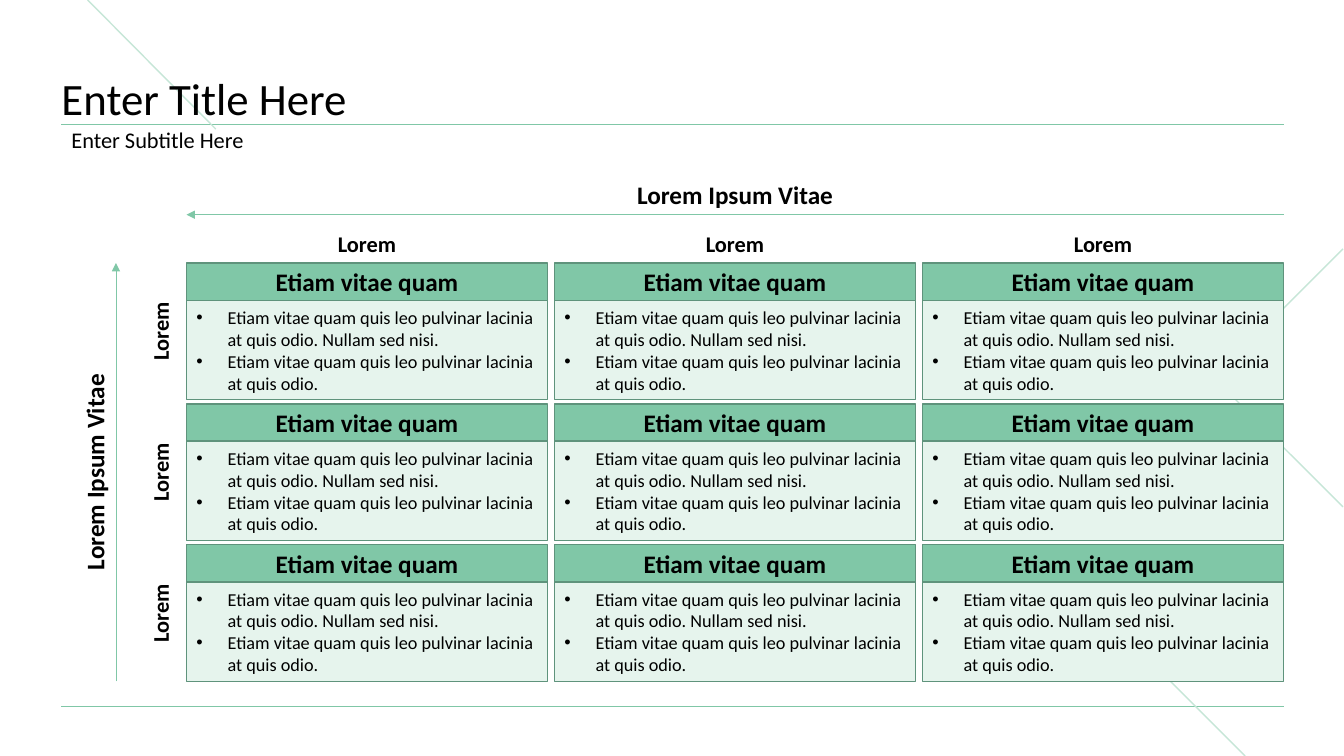
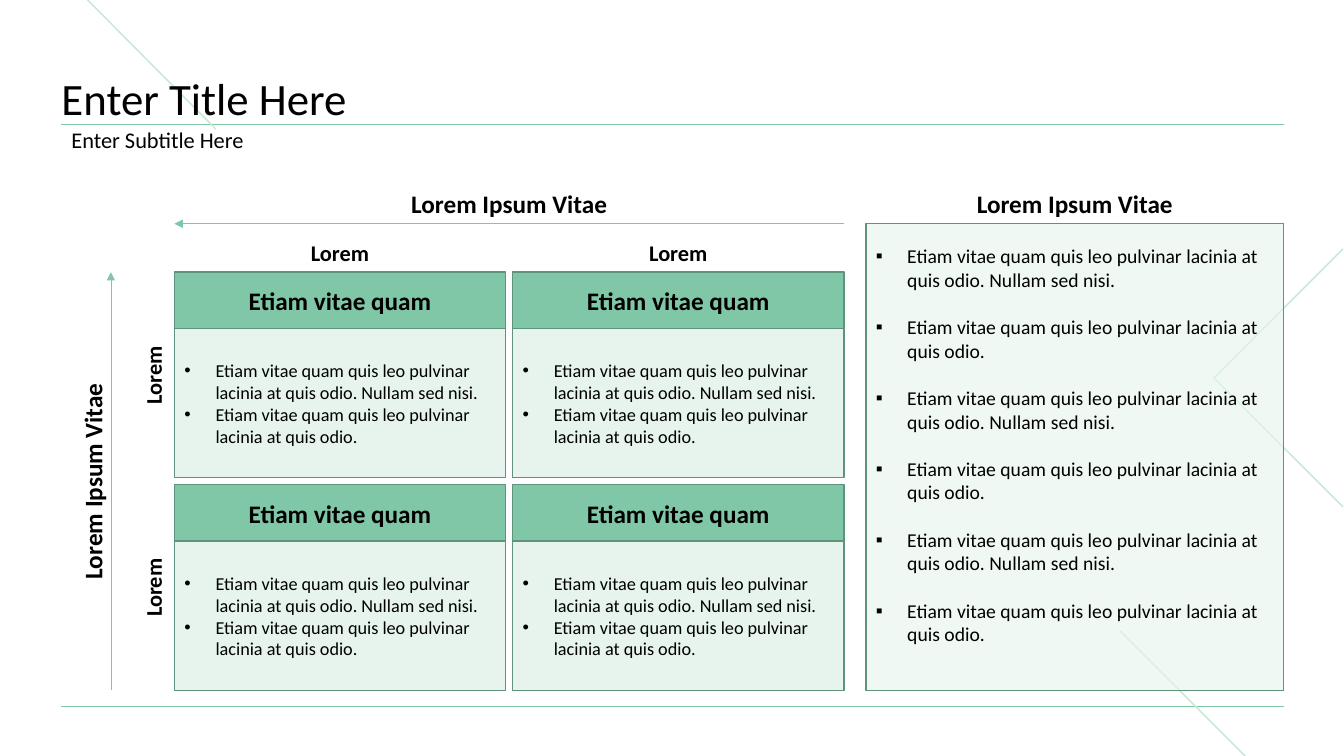
from lxml.etree import SubElement as sub
from pptx import Presentation
from pptx.dml.color import RGBColor as RGB
from pptx.enum.shapes import MSO_CONNECTOR as LINK, MSO_SHAPE as SHAPE
from pptx.enum.text import MSO_ANCHOR as ANCHOR, MSO_AUTO_SIZE as FIT, PP_ALIGN as ALIGN
from pptx.oxml.ns import qn
from pptx.util import Inches, Pt

BLACK = RGB(0x00, 0x00, 0x00)
GREEN = RGB(0x80, 0xC7, 0xA7)
MINT = RGB(0xC6, 0xE6, 0xD7)
PALE = RGB(0xE6, 0xF4, 0xED)
DARK = RGB(0x5F, 0x93, 0x7C)
FONT = "Calibri"
LEFT, RIGHT = 0.61, 12.73
LONG = "Etiam vitae quam quis leo pulvinar lacinia at quis odio. Nullam sed nisi."
SHORT = "Etiam vitae quam quis leo pulvinar lacinia at quis odio."
HEAD = "Etiam vitae quam"
AXIS = "Lorem Ipsum Vitae"
NAME = "Lorem"


def write(frame, lines, size, bold=False, align=ALIGN.LEFT, space=1.0, after=0, mark=None):
    frame.word_wrap = True
    frame.vertical_anchor = ANCHOR.MIDDLE
    frame.text = "\n".join(lines)
    for para in frame.paragraphs:
        para.alignment = align
        para.line_spacing = space
        para.space_after = Pt(after)
        for run in para.runs:
            font = run.font
            font.name, font.size, font.bold = FONT, Pt(size), bold
            font.color.rgb = BLACK
        if mark:
            props = para._p.get_or_add_pPr()
            props.set("marL", str(Inches(0.31)))
            props.set("indent", str(Inches(-0.31)))
            sub(props, qn("a:buFont"), typeface="Arial")
            sub(props, qn("a:buChar"), char=mark)


def add_text(slide, box, text, size, **style):
    shape = slide.shapes.add_textbox(*map(Inches, box))
    write(shape.text_frame, [text], size, **style)
    return shape


def add_label(slide, mid_x, mid_y, width, height, text, size, turn=0):
    box = mid_x - width / 2, mid_y - height / 2, width, height
    shape = add_text(slide, box, text, size, bold=True, align=ALIGN.CENTER, space=1.5)
    shape.text_frame.auto_size = FIT.SHAPE_TO_FIT_TEXT
    shape.rotation = turn


def add_rect(slide, box, fill, lines, size, alpha=None, **style):
    shape = slide.shapes.add_shape(SHAPE.RECTANGLE, *map(Inches, box))
    shape.shadow.inherit = False
    shape.fill.solid()
    shape.fill.fore_color.rgb = fill
    if alpha:
        tint = shape._element.spPr.find(qn("a:solidFill"))[0]
        sub(tint, qn("a:alpha"), val=str(alpha * 1000))
    shape.line.color.rgb = DARK
    shape.line.width = Pt(1)
    write(shape.text_frame, lines, size, **style)
    return shape


def add_line(slide, start, end, color=GREEN, width=0.5, arrow=False):
    link = slide.shapes.add_connector(LINK.STRAIGHT, *map(Inches, start + end))
    link.line.color.rgb = color
    link.line.width = Pt(width)
    if arrow:
        sub(link.line._get_or_add_ln(), qn("a:tailEnd"), type="triangle")
    sub(link._element.spPr, qn("a:effectLst"))


def add_frame(deck):
    slide = deck.slides.add_slide(deck.slide_layouts[6])
    for y in (7.01, 1.23):
        add_line(slide, (LEFT, y), (RIGHT, y))
    add_line(slide, (11.11, 6.26), (12.35, 7.5), MINT, 1)
    add_line(slide, (0.87, 0), (2.14, 1.28), MINT, 1)
    path = slide.shapes.build_freeform(Inches(13.32), Inches(2.47), scale=1.0)
    path.add_line_segments([(Inches(12.04), Inches(3.75)), (Inches(13.32), Inches(5.03))], close=False)
    wedge = path.convert_to_shape()
    wedge.shadow.inherit = False
    wedge.fill.background()
    wedge.line.color.rgb = MINT
    wedge.line.width = Pt(1)
    wide = RIGHT - LEFT
    title = add_text(slide, (LEFT, 0.44, wide, 0.8), "Enter Title Here", 32, space=0.9).text_frame
    title.vertical_anchor = ANCHOR.BOTTOM
    title.margin_left = title.margin_right = title.margin_top = title.margin_bottom = 0
    add_text(slide, (LEFT, 1.23, wide, 0.34), "Enter Subtitle Here", 16, space=0.9)
    return slide


def add_card(slide, x, y, width, height, head):
    add_rect(slide, (x, y, width, head), GREEN, [HEAD], 18, bold=True, align=ALIGN.CENTER)
    add_rect(slide, (x, y + head, width, height - head), PALE, [LONG, SHORT], 13, mark="•")


def add_grid(slide, left, top, right, count, gap, head, row_x, side_x, arrow_x):
    tall, col_gap = 4.15, 0.07
    wide = right - left
    width = (wide - col_gap * (count - 1)) / count
    height = (tall - gap * (count - 1)) / count
    cols = [left + i * (width + col_gap) for i in range(count)]
    rows = [top + i * (height + gap) for i in range(count)]
    for y in rows:
        for x in cols:
            add_card(slide, x, y, width, height, head)
    for x in cols:
        add_label(slide, x + width / 2, top - 0.26, width, 0.46, NAME, 16)
    for y in rows:
        add_label(slide, row_x, y + height / 2, height, 0.46, NAME, 16, 270)
    rule = top - 0.48
    add_line(slide, (arrow_x, top + tall), (arrow_x, top), arrow=True)
    add_line(slide, (right, rule), (left, rule), arrow=True)
    add_label(slide, left + wide / 2, rule - 0.28, wide, 0.5, AXIS, 18)
    add_label(slide, side_x, top + tall / 2, tall, 0.5, AXIS, 18, 270)


def add_panel(slide, left, top, bottom):
    wide = RIGHT - left
    panel = add_rect(slide, (left, top, wide, bottom - top), PALE, [LONG, SHORT] * 3, 14,
                     alpha=60, after=17, mark="▪")
    panel.text_frame.margin_bottom = Inches(0.29)
    add_label(slide, left + wide / 2, top - 0.28, wide, 0.5, AXIS, 18)


def main():
    deck = Presentation()
    deck.slide_width, deck.slide_height = Inches(13.33), Inches(7.5)
    add_grid(add_frame(deck), 1.85, 2.61, RIGHT, 3, gap=0.04, head=0.37,
             row_x=1.52, side_x=0.86, arrow_x=1.15)
    slide = add_frame(deck)
    add_grid(slide, 1.73, 2.7, 8.37, 2, gap=0.07, head=0.56,
             row_x=1.45, side_x=0.84, arrow_x=1.1)
    add_panel(slide, 8.59, 2.22, 6.85)
    deck.save("out.pptx")


if __name__ == "__main__":
    main()
